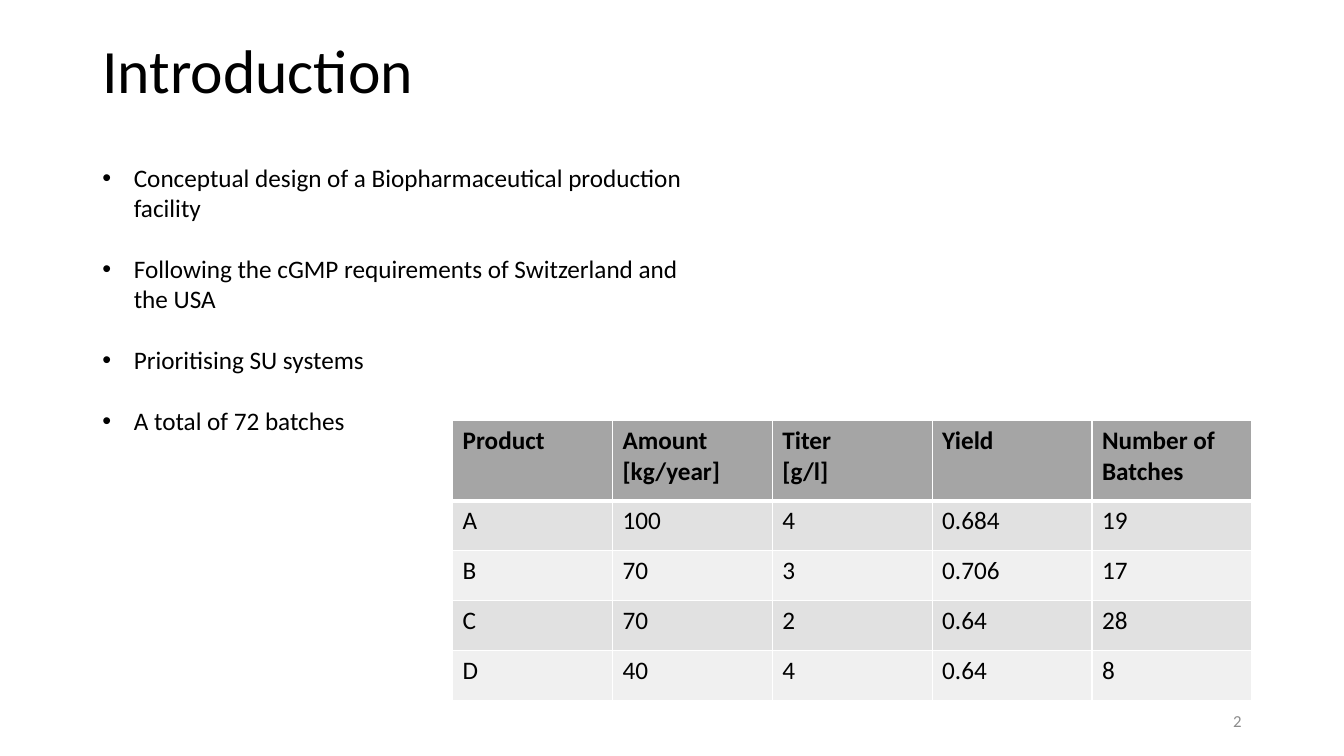
from dataclasses import dataclass

from lxml import etree
from pptx import Presentation
from pptx.dml.color import RGBColor as Rgb
from pptx.enum import text as txt
from pptx.oxml import ns
from pptx.util import Pt


@dataclass(frozen=True)
class Theme:
    """Colours, font and type sizes of the slide."""
    font: str = "Calibri"
    ink: str = "000000"
    muted: str = "8C8C8C"
    rule: str = "FFFFFF"
    head: str = "A5A5A5"
    bands: tuple = ("E1E1E1", "F0F0F0")
    title: int = 44
    body: int = 18
    small: int = 12


LOOK = Theme()
POINTS = (
    "Conceptual design of a Biopharmaceutical production facility",
    "Following the cGMP requirements of Switzerland and the USA",
    "Prioritising SU systems",
    "A total of 72 batches",
)
ROWS = (
    ("Product", "Amount [kg/year]", "Titer \n[g/l]", "Yield", "Number of Batches"),
    ("A", "100", "4", "0.684", "19"),
    ("B", "70", "3", "0.706", "17"),
    ("C", "70", "2", "0.64", "28"),
    ("D", "40", "4", "0.64", "8"),
)


def write(para, words, size, color=LOOK.ink, bold=False):
    """Add words to a paragraph, one run per line."""
    for i, line in enumerate(words.split("\n")):
        if i:
            para.add_line_break()
        run = para.add_run()
        run.text = line
        font = run.font
        font.name, font.size, font.bold = LOOK.font, Pt(size), bold
        font.color.rgb = Rgb.from_string(color)


def frame(slide, box, anchor):
    """Add a wrapping text box and return its text frame."""
    body = slide.shapes.add_textbox(*map(Pt, box)).text_frame
    body.word_wrap = True
    body.vertical_anchor = anchor
    return body


def title(slide, box, words):
    """Place the slide title."""
    para = frame(slide, box, txt.MSO_ANCHOR.MIDDLE).paragraphs[0]
    para.line_spacing = 0.9
    write(para, words, LOOK.title)


def number(slide, box, words):
    """Place the page number at the right of its box."""
    para = frame(slide, box, txt.MSO_ANCHOR.MIDDLE).paragraphs[0]
    para.alignment = txt.PP_ALIGN.RIGHT
    write(para, words, LOOK.small, LOOK.muted)


def bullets(slide, box, items):
    """Place a bulleted list with one line of space between items."""
    body = frame(slide, box, txt.MSO_ANCHOR.TOP)
    for i, item in enumerate(items):
        para = body.add_paragraph() if i else body.paragraphs[0]
        props = para._p.get_or_add_pPr()
        props.set("marL", str(Pt(22.5)))
        props.set("indent", str(-Pt(22.5)))
        etree.SubElement(props, ns.qn("a:buFont"), typeface="Arial")
        etree.SubElement(props, ns.qn("a:buChar"), char="•")
        if i:
            para.space_before = Pt(22)
        write(para, item, LOOK.body)


def border(cell, top, bottom):
    """Rule all four sides of a cell."""
    props = cell._tc.get_or_add_tcPr()
    for side, width in (("L", 1), ("R", 1), ("T", top), ("B", bottom)):
        line = etree.SubElement(props, ns.qn("a:ln" + side), w=str(Pt(width)))
        fill = etree.SubElement(line, ns.qn("a:solidFill"))
        etree.SubElement(fill, ns.qn("a:srgbClr"), val=LOOK.rule)


def table(slide, box, rows):
    """Place the product table with a taller header row."""
    high = 57.6
    step = (box[3] - high) / (len(rows) - 1)
    grid = slide.shapes.add_table(len(rows), len(rows[0]), *map(Pt, box)).table
    for col in grid.columns:
        col.width = Pt(box[2] / len(rows[0]))
    for r, row in enumerate(rows):
        grid.rows[r].height = Pt(step if r else high)
        color = LOOK.bands[(r - 1) % 2] if r else LOOK.head
        for c, words in enumerate(row):
            cell = grid.cell(r, c)
            border(cell, 3 if r == 1 else 1, 1 if r else 3)
            cell.fill.solid()
            cell.fill.fore_color.rgb = Rgb.from_string(color)
            write(cell.text_frame.paragraphs[0], words, LOOK.body, bold=r == 0)


def main():
    """Build and save the slide."""
    deck = Presentation()
    deck.slide_width, deck.slide_height = Pt(960), Pt(540)
    slide = deck.slides.add_slide(deck.slide_layouts[6])
    title(slide, (66, 0, 828, 104.4), "Introduction")
    number(slide, (678, 500.5, 216, 28.75), "2")
    table(slide, (323.3, 300.2, 571, 200), ROWS)
    bullets(slide, (66, 112.3, 445, 291), POINTS)
    deck.save("out.pptx")


if __name__ == "__main__":
    main()
